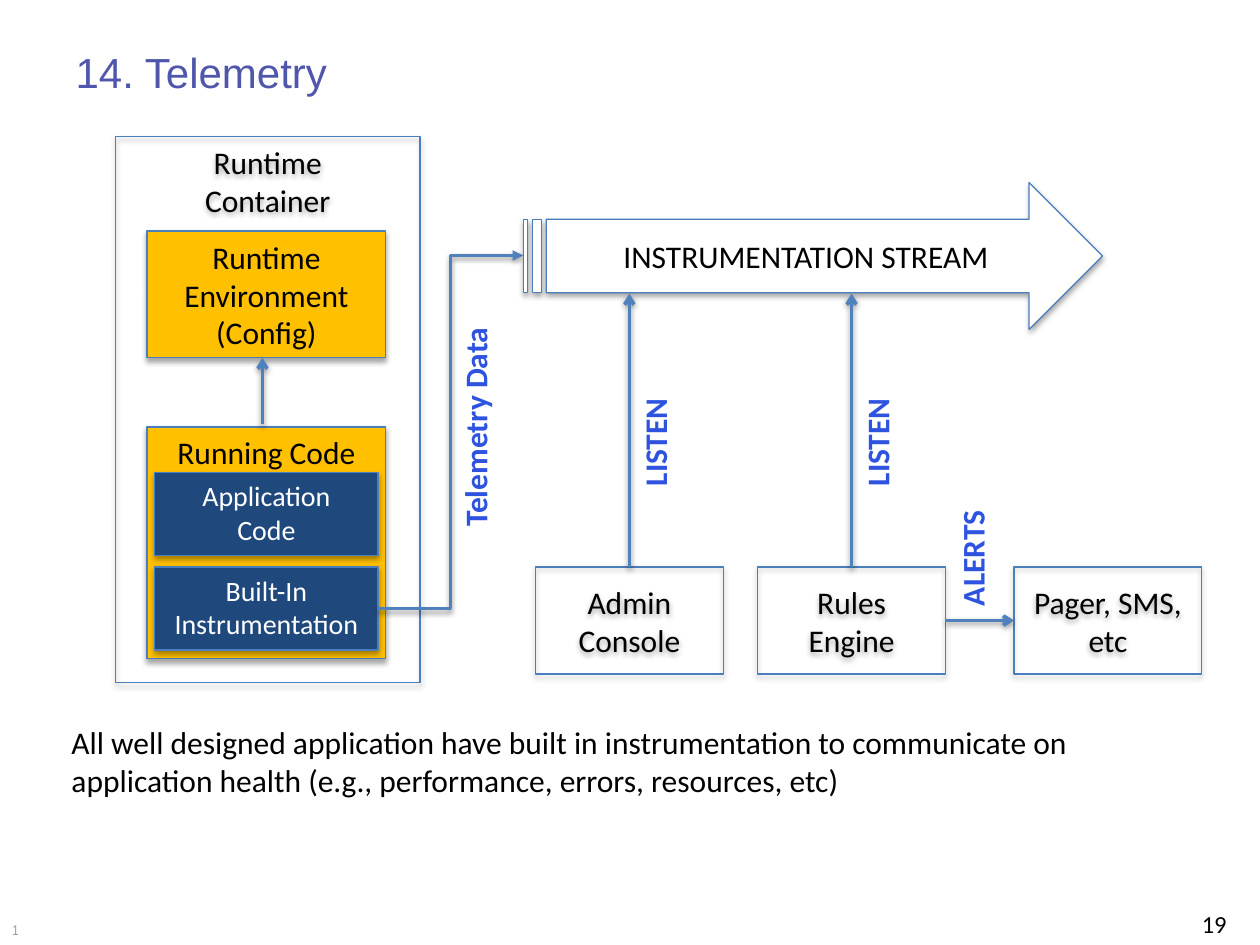
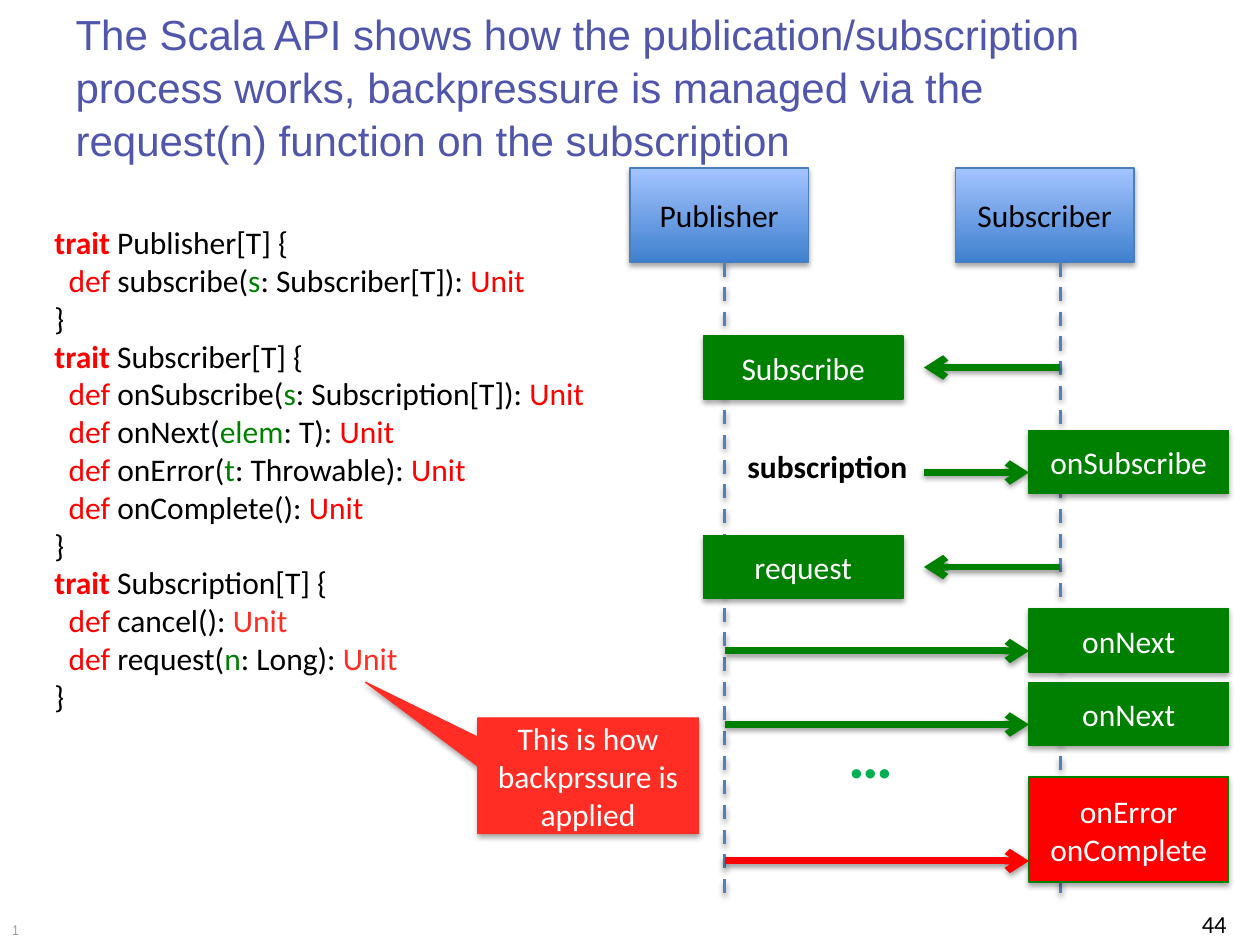
from lxml.etree import SubElement
from pptx import Presentation
from pptx.dml.color import RGBColor
from pptx.enum.dml import MSO_LINE
from pptx.enum.shapes import MSO_CONNECTOR, MSO_SHAPE
from pptx.enum.text import MSO_ANCHOR, MSO_AUTO_SIZE, PP_ALIGN
from pptx.oxml.ns import qn
from pptx.util import Pt

COLORS = {
    "title": "4F56AB", "black": "000000", "white": "FFFFFF", "gray": "999999",
    "outline": "4B7EBC", "connector": "4F81BD", "label": "2E53DF",
    "amber": "FFC000", "navy": "1F497D", "green": "008000", "red": "FF0000",
    "scarlet": "FF2D24", "lime": "00B050", "sky": "A4C4FF", "blue": "3F80CE",
}
BOX_SHADOW = {"opacity": 35000, "distance": 23000}
LINE_SHADOW = {"opacity": 38000, "distance": 20000}

# Code listing: each line is a list of (text, color, bold) runs
KEYWORD = ("def ", "red", False)


def trait(name):
    return [("trait", "red", True), (f" {name}[T] {{", "black", False)]


def method(name, argument="", kind="", result="red"):
    runs = [("  ", "black", False), KEYWORD]
    if argument:
        runs += [(f"{name}(", "black", False), (argument, "green", False),
                 (f": {kind}): ", "black", False)]
    else:
        runs.append((f"{name}(): ", "black", False))
    return runs + [("Unit", result, False)]


CLOSE = [("}", "black", False)]
CODE = [
    trait("Publisher"),
    method("subscribe", "s", "Subscriber[T]"),
    CLOSE,
    trait("Subscriber"),
    method("onSubscribe", "s", "Subscription[T]"),
    method("onNext", "elem", "T"),
    method("onError", "t", "Throwable"),
    method("onComplete"),
    CLOSE,
    trait("Subscription"),
    method("cancel", result="scarlet"),
    method("request", "n", "Long", result="scarlet"),
    CLOSE,
]


def rgb(name):
    return RGBColor.from_string(COLORS[name])


def add_run(paragraph, text, size, color, bold=False, font="Calibri"):
    run = paragraph.add_run()
    run.text = text
    run.font.name = font
    run.font.size = Pt(size)
    run.font.bold = bold
    run.font.color.rgb = rgb(color)


def write(frame, paragraphs, size=18, color="black", bold=False,
          align=PP_ALIGN.LEFT, font="Calibri"):
    """Fill a frame; a paragraph is a string or a list of (text, color, bold)."""
    for index, content in enumerate(paragraphs):
        paragraph = frame.paragraphs[0] if index == 0 else frame.add_paragraph()
        paragraph.alignment = align
        if isinstance(content, str):
            for number, part in enumerate(content.split("\n")):
                if number:
                    paragraph.add_line_break()
                add_run(paragraph, part, size, color, bold, font)
        else:
            for text, run_color, run_bold in content:
                add_run(paragraph, text, size, run_color, run_bold, font)


def add_shadow(effects, opacity, distance):
    shadow = SubElement(effects, qn("a:outerShdw"), blurRad="40000",
                        dist=str(distance), dir="5400000", rotWithShape="0")
    color = SubElement(shadow, qn("a:srgbClr"), val=COLORS["black"])
    SubElement(color, qn("a:alpha"), val=str(opacity))


def add_text(slide, left, top, width, height, paragraphs, wrap=True,
             rotation=0, **style):
    box = slide.shapes.add_textbox(Pt(left), Pt(top), Pt(width), Pt(height))
    box.text_frame.word_wrap = wrap
    box.rotation = rotation
    write(box.text_frame, paragraphs, **style)


def add_side_label(slide, left, top, width, text):
    add_text(slide, left, top, width, 28.8, [text], rotation=270,
             color="label", bold=True, align=PP_ALIGN.CENTER)


def add_box(slide, left, top, width, height, paragraphs, fill=None,
            outline="outline", color="black", size=18,
            anchor=MSO_ANCHOR.MIDDLE, kind=MSO_SHAPE.RECTANGLE):
    shape = slide.shapes.add_shape(kind, Pt(left), Pt(top), Pt(width), Pt(height))
    if fill:
        shape.fill.solid()
        shape.fill.fore_color.rgb = rgb(fill)
    else:
        shape.fill.background()
    shape.line.color.rgb = rgb(outline)
    shape.line.width = Pt(0.75)
    shape.shadow.inherit = False
    add_shadow(shape._element.spPr.find(qn("a:effectLst")), **BOX_SHADOW)
    shape.text_frame.word_wrap = True
    shape.text_frame.vertical_anchor = anchor
    write(shape.text_frame, paragraphs, size, color, align=PP_ALIGN.CENTER)
    return shape


def add_line(slide, start, end, color="connector", width=2, arrow="arrow",
             dashed=False, kind=MSO_CONNECTOR.STRAIGHT):
    line = slide.shapes.add_connector(kind, *(Pt(value) for value in start + end))
    line.line.color.rgb = rgb(color)
    line.line.width = Pt(width)
    if dashed:
        line.line.dash_style = MSO_LINE.DASH
    properties = line._element.spPr
    if arrow:
        SubElement(properties.find(qn("a:ln")), qn("a:tailEnd"), type=arrow)
    add_shadow(SubElement(properties, qn("a:effectLst")), **LINE_SHADOW)
    return line


def add_slide(presentation, title_text, title_top, number):
    slide = presentation.slides.add_slide(presentation.slide_layouts[5])
    title = slide.shapes.title
    title.left, title.top = Pt(36), Pt(title_top)
    title.width, title.height = Pt(648), Pt(90)
    frame = title.text_frame
    frame.auto_size = MSO_AUTO_SIZE.NONE
    frame.vertical_anchor = MSO_ANCHOR.TOP
    write(frame, [title_text], size=24, color="title", font="Arial")
    frame.paragraphs[0].line_spacing = 1.05
    # Footer
    add_text(slide, 540, 516, 168, 16.8, [number], size=14, align=PP_ALIGN.RIGHT)
    add_text(slide, 0, 523.2, 528, 16.8, ["1"], size=8, color="gray",
             font="Arial Narrow")
    return slide


def build_telemetry(presentation):
    slide = add_slide(presentation, "14. Telemetry", 21.6, "19")
    add_text(slide, 33.8, 409.7, 662.4, 51.1, [
        "All well designed application have built in instrumentation to "
        "communicate on application health (e.g., performance, errors, "
        "resources, etc)"])

    # Runtime container and its contents
    top = MSO_ANCHOR.TOP
    add_box(slide, 66, 78, 174, 312, ["Runtime\nContainer"], anchor=top)
    add_box(slide, 84, 132, 136.5, 72.5, ["Runtime Environment", "(Config)"], "amber")
    add_box(slide, 84, 244, 136.5, 132.5, ["Running Code"], "amber", anchor=top)
    add_line(slide, (150, 242.5), (150, 204.5))
    modules = [add_box(slide, 88.5, y, 127.5, 47.5, [text], "navy",
                       color="white", size=16, anchor=top)
               for y, text in ((270, "Application\nCode"),
                               (324, "Built-In\nInstrumentation"))]

    # Telemetry flow into the stream
    flow = add_line(slide, (216, 347.75), (299, 146), arrow="triangle",
                    kind=MSO_CONNECTOR.ELBOW)
    flow.begin_connect(modules[1], 3)
    add_side_label(slide, 201.6, 229.7, 139.7, "Telemetry Data")
    add_box(slide, 299, 104.25, 331, 84, ["INSTRUMENTATION STREAM"], "white",
            kind=MSO_SHAPE.STRIPED_RIGHT_ARROW)

    # Consumers of the stream
    width, y = 107.3, 324
    admin, rules, channels = [
        add_box(slide, left, y, width, 61.2, [text])
        for left, text in ((306, "Admin\nConsole"), (433, "Rules\nEngine"),
                           (579.5, "Pager, SMS, etc"))]
    for listener, left in ((admin, 306), (rules, 433)):
        middle = left + width / 2
        add_line(slide, (middle, y), (middle, 167.8)).begin_connect(listener, 0)
        add_side_label(slide, left + 31, 238.3, 74.2, "LISTEN")
    alert = add_line(slide, (540, 354.6), (579.5, 354.6))
    alert.begin_connect(rules, 3)
    alert.end_connect(channels, 1)
    add_side_label(slide, 518.4, 304.6, 74.2, "ALERTS")


def build_backpressure(presentation):
    slide = add_slide(
        presentation,
        "The Scala API shows how the publication/subscription process works, "
        "backpressure is managed via the request(n) function on the subscription",
        0, "44")
    add_text(slide, 24, 124, 516, 291, CODE)

    # Participants and lifelines
    publisher_x, subscriber_x = 414, 606
    for left, name in ((360, "Publisher"), (546, "Subscriber")):
        participant = add_box(slide, left, 96, 102, 54, [name])
        participant.fill.gradient()
        participant.fill.gradient_angle = 90
        for stop, color in zip(participant.fill.gradient_stops, ("blue", "sky")):
            stop.color.rgb = rgb(color)
    for x in (publisher_x, subscriber_x):
        add_line(slide, (x, 150), (x, 516), arrow=None, dashed=True)

    # Calls
    publisher_call, subscriber_call, gap_x = 402, 588, 528
    for left, top, height, lines, fill in (
            (publisher_call, 192, 36, ["Subscribe"], "green"),
            (publisher_call, 306, 36, ["request"], "green"),
            (subscriber_call, 246, 36, ["onSubscribe"], "green"),
            (subscriber_call, 348, 36, ["onNext"], "green"),
            (subscriber_call, 390, 36, ["onNext"], "green"),
            (subscriber_call, 444, 60, ["onError", "onComplete"], "red")):
        add_box(slide, left, top, 114, height, lines, fill, "green", "white")

    # Messages
    for start_x, end_x, y, color in (
            (subscriber_x, gap_x, 210, "green"),
            (gap_x, subscriber_call, 270, "green"),
            (subscriber_x, gap_x, 324, "green"),
            (publisher_x, subscriber_call, 372, "green"),
            (publisher_x, subscriber_call, 414, "green"),
            (publisher_x, subscriber_call, 492, "red")):
        add_line(slide, (start_x, y), (end_x, y), color, 4)
    add_text(slide, 420, 252, 107.3, 28.8, ["subscription"], wrap=False, bold=True)
    add_text(slide, 478, 405.4, 40.3, 51, ["…"], wrap=False, size=36,
             color="lime", bold=True)

    # Callout on request(n)
    callout = add_box(slide, 273, 410.25, 126, 66,
                      ["This is how backprssure is applied"], "scarlet",
                      "scarlet", "white", kind=MSO_SHAPE.RECTANGULAR_CALLOUT)
    callout.adjustments[0] = -1.01
    callout.adjustments[1] = -0.81


def main():
    presentation = Presentation()
    presentation.slide_width, presentation.slide_height = Pt(720), Pt(540)
    build_telemetry(presentation)
    build_backpressure(presentation)
    presentation.save("out.pptx")


if __name__ == "__main__":
    main()
